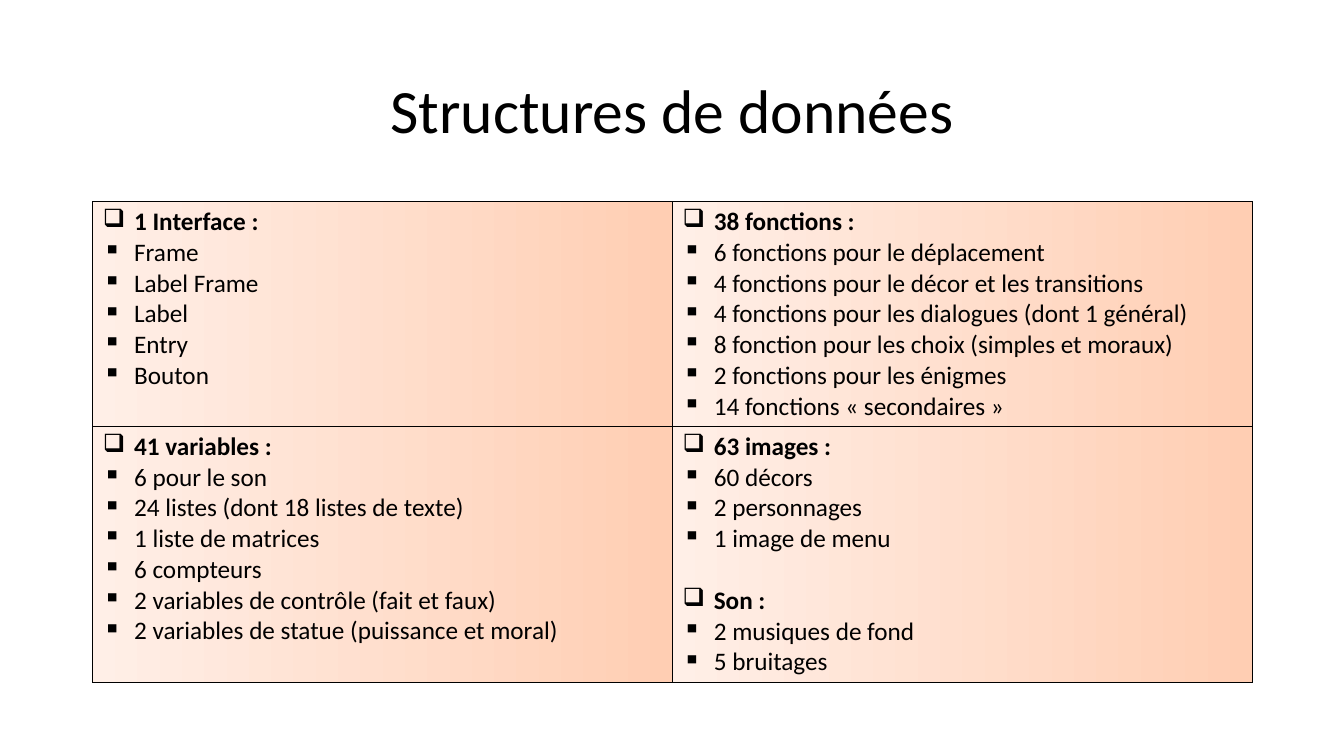
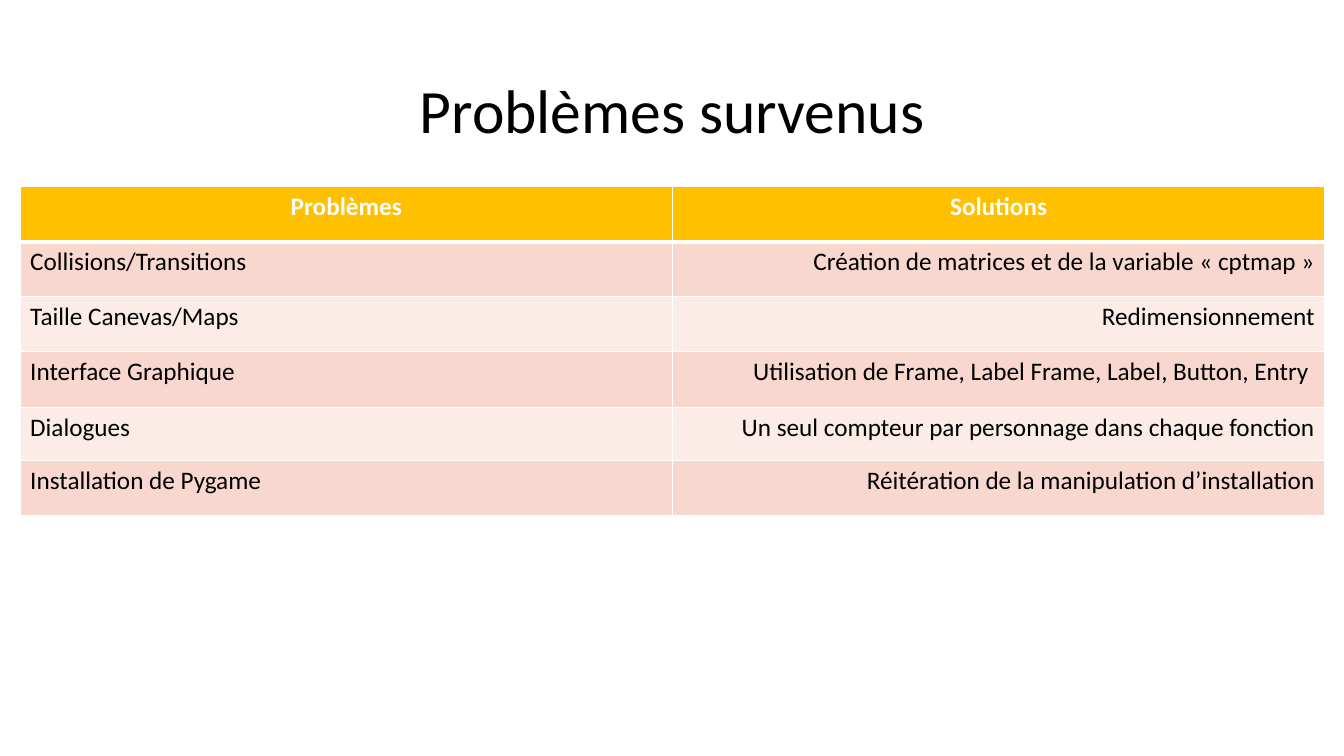
from dataclasses import dataclass

import lxml.etree
import pptx
import pptx.dml.color
import pptx.enum.text
import pptx.oxml.ns
import pptx.util

Inches = pptx.util.Inches
Pt = pptx.util.Pt
ALIGN = pptx.enum.text.PP_ALIGN


@dataclass(frozen=True)
class Theme:
    """Colours, font and type sizes shared by the slides."""
    font: str = "Calibri"
    title_size: int = 44
    body_size: int = 18
    text: str = "000000"
    white: str = "FFFFFF"
    header: str = "FFC000"
    bands: tuple = ("F8D7CE", "FCECE8")
    gradient: tuple = ("FFCEB3", "FFEFE7")
    heading_bullet: str = "❑"
    item_bullet: str = "▪"


def rgb(colour):
    """Turn a hexadecimal string into a colour."""
    return pptx.dml.color.RGBColor.from_string(colour)


def add_element(parent, tag, **attributes):
    """Append a drawing element with the given attributes."""
    name = pptx.oxml.ns.qn(tag)
    return lxml.etree.SubElement(parent, name, attributes)


class Deck:
    """Holds the style and the slide being built."""

    def __init__(self, theme):
        """Start a widescreen presentation."""
        self.theme = theme
        self.presentation = pptx.Presentation()
        self.presentation.slide_width = Inches(13.33)
        self.presentation.slide_height = Inches(7.5)
        self.slide = None

    def add_slide(self, title):
        """Add a blank slide with a centred title."""
        layout = self.presentation.slide_layouts[6]
        self.slide = self.presentation.slides.add_slide(layout)
        shape = self.slide.shapes.add_textbox(
            Inches(0.92), Inches(0.4), Inches(11.5), Inches(1.45))
        frame = shape.text_frame
        frame.word_wrap = True
        frame.vertical_anchor = pptx.enum.text.MSO_ANCHOR.MIDDLE
        paragraph = frame.paragraphs[0]
        paragraph.alignment = ALIGN.CENTER
        paragraph.line_spacing = 0.9
        self.add_run(paragraph, title, size=self.theme.title_size)

    def add_run(self, paragraph, text, size=None, colour=None, bold=False):
        """Add one styled run to a paragraph."""
        run = paragraph.add_run()
        run.text = text
        run.font.name = self.theme.font
        run.font.size = Pt(size or self.theme.body_size)
        run.font.bold = bold
        run.font.color.rgb = rgb(colour or self.theme.text)

    def add_table(self, left, top, column_width, heights):
        """Add a two-column table without a banded style."""
        shape = self.slide.shapes.add_table(
            len(heights), 2, Inches(left), Inches(top),
            Inches(2 * column_width), Inches(sum(heights)))
        table = shape.table
        table.first_row = table.horz_banding = False
        for column in table.columns:
            column.width = Inches(column_width)
        for row, height in zip(table.rows, heights):
            row.height = Inches(height)
        return table

    def set_borders(self, cell, colour, top=1, bottom=1):
        """Draw the four borders of a cell; call before filling it."""
        properties = cell._tc.get_or_add_tcPr()
        for side, width in (("L", 1), ("R", 1), ("T", top), ("B", bottom)):
            line = add_element(properties, f"a:ln{side}", w=str(Pt(width)))
            fill = add_element(line, "a:solidFill")
            add_element(fill, "a:srgbClr", val=colour)

    def fill_gradient(self, cell):
        """Fill a cell with the theme gradient, dark on the right."""
        cell.fill.gradient()
        cell.fill.gradient_angle = 180
        for stop, colour in zip(cell.fill.gradient_stops, self.theme.gradient):
            stop.color.rgb = rgb(colour)

    def fill_solid(self, cell, colour):
        """Fill a cell with one colour."""
        cell.fill.solid()
        cell.fill.fore_color.rgb = rgb(colour)

    def add_bullet(self, paragraph, text, heading):
        """Write a bulleted heading or item."""
        theme = self.theme
        properties = paragraph._p.get_or_add_pPr()
        properties.set("marL", str(Inches(0.31)))
        properties.set("indent", str(-Inches(0.31)))
        bullet = theme.heading_bullet if heading else theme.item_bullet
        add_element(properties, "a:buChar", char=bullet)
        self.add_run(paragraph, text, bold=heading)

    def add_groups(self, cell, groups):
        """Write groups of a heading and items, one line apart."""
        frame = cell.text_frame
        paragraph = frame.paragraphs[0]
        for group_index, group in enumerate(groups):
            for index, text in enumerate(group):
                if group_index or index:
                    paragraph = frame.add_paragraph()
                if group_index and index == 0:
                    paragraph.space_before = Pt(22)
                self.add_bullet(paragraph, text, heading=index == 0)

    def add_quadrants(self, quadrants):
        """Add the gradient table of bulleted groups."""
        table = self.add_table(0.92, 2, 5.75, (2.23, 2.54))
        for cell, groups in zip(table.iter_cells(), quadrants):
            self.set_borders(cell, self.theme.text)
            self.fill_gradient(cell)
            self.add_groups(cell, groups)

    def add_banded_table(self, rows, heights):
        """Add a table with a header row and alternating bands."""
        theme = self.theme
        table = self.add_table(0.2, 1.85, 6.47, heights)
        for row_index, texts in enumerate(rows):
            header = row_index == 0
            fill = theme.header if header else theme.bands[(row_index - 1) % 2]
            for column_index, text in enumerate(texts):
                cell = table.cell(row_index, column_index)
                self.set_borders(cell, theme.white,
                                 top=3 if row_index == 1 else 1,
                                 bottom=3 if header else 1)
                self.fill_solid(cell, fill)
                paragraph = cell.text_frame.paragraphs[0]
                side = (ALIGN.LEFT, ALIGN.RIGHT)[column_index]
                paragraph.alignment = ALIGN.CENTER if header else side
                self.add_run(paragraph, text, bold=header,
                             colour=theme.white if header else theme.text)


DATA_STRUCTURES = (
    (("1 Interface :", "Frame", "Label Frame", "Label", "Entry", "Bouton"),),
    (("38 fonctions :",
      "6 fonctions pour le déplacement",
      "4 fonctions pour le décor et les transitions",
      "4 fonctions pour les dialogues (dont 1 général)",
      "8 fonction pour les choix (simples et moraux)",
      "2 fonctions pour les énigmes",
      "14 fonctions «\u00a0secondaires\u00a0»"),),
    (("41 variables :",
      "6 pour le son",
      "24 listes (dont 18 listes de texte)",
      "1 liste de matrices",
      "6 compteurs",
      "2 variables de contrôle (fait et faux)",
      "2 variables de statue (puissance et moral)"),),
    (("63 images :", "60 décors", "2 personnages", "1 image de menu"),
     ("Son :", "2 musiques de fond", "5 bruitages")),
)

PROBLEMS = (
    ("Problèmes", "Solutions"),
    ("Collisions/Transitions",
     "Création de matrices et de la variable «\u00a0cptmap\u00a0»"),
    ("Taille Canevas/Maps", "\u00a0Redimensionnement"),
    ("Interface Graphique",
     "Utilisation de Frame, Label Frame, Label, Button, Entry "),
    ("Dialogues", "Un seul compteur par personnage dans chaque fonction"),
    ("Installation de Pygame",
     "Réitération de la manipulation d’installation"),
)


def main():
    """Build and save the two slides."""
    deck = Deck(Theme())
    deck.add_slide("Structures de données")
    deck.add_quadrants(DATA_STRUCTURES)
    deck.add_slide("Problèmes survenus")
    deck.add_banded_table(PROBLEMS, (0.55, 0.54, 0.55, 0.55, 0.53, 0.55))
    deck.presentation.save("out.pptx")


main()
